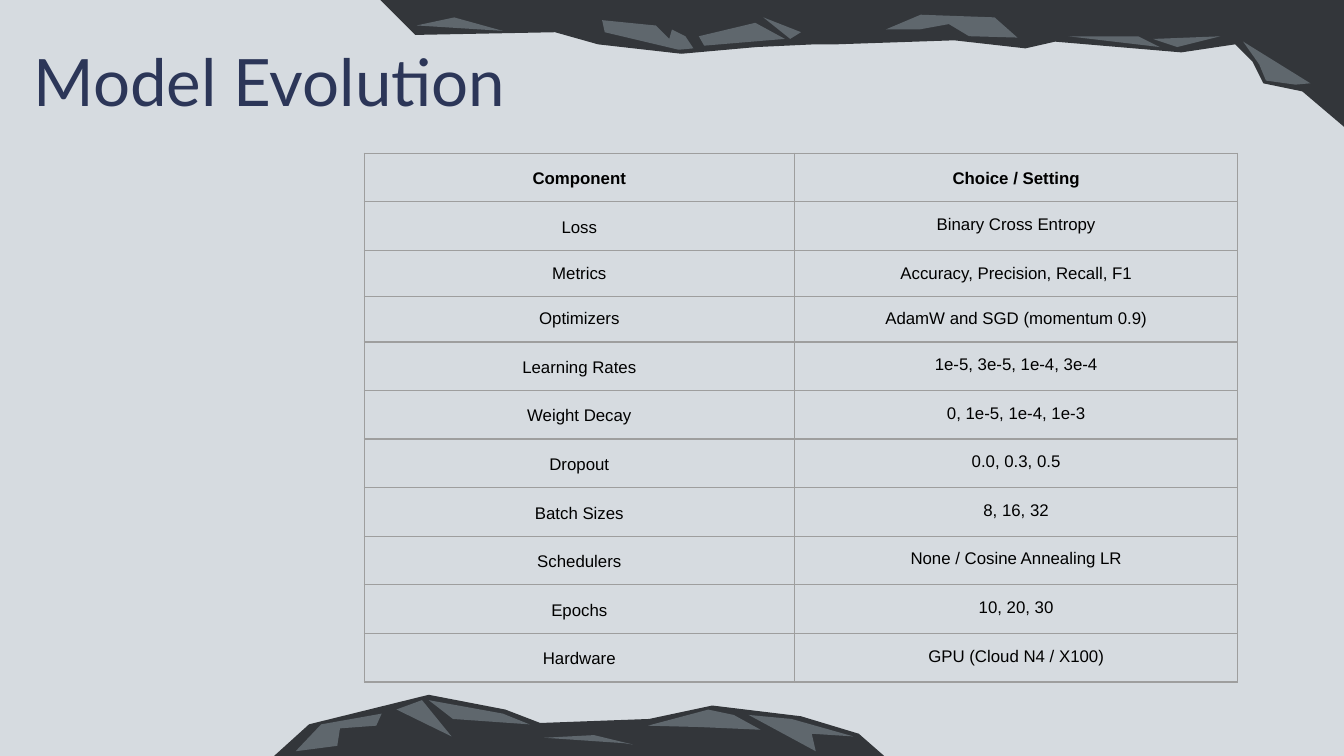
import pptx
import pptx.util
import pptx.dml.color
import pptx.enum.text
import pptx.oxml.ns
from lxml import etree

Inches = pptx.util.Inches
Pt = pptx.util.Pt
RGBColor = pptx.dml.color.RGBColor
qn = pptx.oxml.ns.qn

BACKGROUND = RGBColor(0xD6, 0xDB, 0xE0)
ROCK = RGBColor(0x33, 0x36, 0x3A)
FACET = RGBColor(0x5F, 0x67, 0x6D)
TITLE = RGBColor(0x2C, 0x36, 0x58)
TEXT = RGBColor(0, 0, 0)
BORDER = RGBColor(0x9E, 0x9E, 0x9E)

BOTTOM_ROCK = [(6.63, 5.67), (6.39, 5.46), (5.96, 5.33), (5.3, 5.25), (4.83, 5.35),
               (4.02, 5.38), (3.76, 5.28), (3.19, 5.17), (2.3, 5.39), (1.99, 5.67)]
BOTTOM_FACETS = [
    [(6.35, 5.48), (5.89, 5.35), (5.57, 5.32), (6.07, 5.59), (6.04, 5.46)],
    [(5.46, 5.32), (5.27, 5.28), (4.82, 5.4), (5.21, 5.41), (5.66, 5.43)],
    [(4.71, 5.54), (4.42, 5.47), (4.05, 5.49), (4.64, 5.53)],
    [(3.94, 5.39), (3.74, 5.31), (3.19, 5.21), (3.37, 5.35)],
    [(3.36, 5.48), (3.14, 5.21), (2.95, 5.28)],
    [(2.84, 5.31), (2.39, 5.39), (2.2, 5.59), (2.51, 5.55), (2.53, 5.42), (2.8, 5.4)],
]
TOP_ROCK = [(10.02, 0.96), (9.69, 0.68), (9.4, 0.62), (9.32, 0.46), (9.19, 0.33),
            (8.79, 0.39), (7.85, 0.31), (7.63, 0.36), (7.1, 0.3), (6.22, 0.33),
            (6.06, 0.33), (5.63, 0.35), (5.07, 0.4), (4.45, 0.33), (4.13, 0.24),
            (3.09, 0.26), (2.8, -0.03), (10, -0.03)]
TOP_FACETS = [
    [(9.64, 0.63), (9.42, 0.6), (9.37, 0.48), (9.25, 0.31), (9.75, 0.62)],
    [(9.08, 0.27), (8.58, 0.29), (8.76, 0.35)],
    [(8.63, 0.35), (8.47, 0.27), (7.95, 0.27)],
    [(7.57, 0.28), (7.4, 0.13), (6.85, 0.11), (6.59, 0.22), (6.84, 0.22),
     (7.06, 0.18), (7.21, 0.27)],
    [(5.84, 0.29), (5.62, 0.17), (5.2, 0.27), (5.24, 0.34)],
    [(5.16, 0.36), (5.1, 0.27), (5, 0.22), (4.98, 0.29), (4.88, 0.19), (4.48, 0.15),
     (4.5, 0.24), (5.05, 0.37)],
    [(5.88, 0.29), (5.68, 0.13), (5.96, 0.24)],
    [(3.1, 0.19), (3.38, 0.13), (3.74, 0.23)],
]
SETTINGS = [
    ("Component", "Choice / Setting"),
    ("Loss", "Binary Cross Entropy"),
    ("Metrics", "Accuracy, Precision, Recall, F1"),
    ("Optimizers", "AdamW and SGD (momentum 0.9)"),
    ("Learning Rates", "1e-5, 3e-5, 1e-4, 3e-4"),
    ("Weight Decay", "0, 1e-5, 1e-4, 1e-3"),
    ("Dropout", "0.0, 0.3, 0.5"),
    ("Batch Sizes", "8, 16, 32"),
    ("Schedulers", "None / Cosine Annealing LR"),
    ("Epochs", "10, 20, 30"),
    ("Hardware", "GPU (Cloud N4 / X100)"),
]
SINGLE_SPACED = ("Metrics", "Optimizers")


def set_borders(cell):
    properties = cell._tc.get_or_add_tcPr()
    for position, side in enumerate(("a:lnL", "a:lnR", "a:lnT", "a:lnB")):
        line = etree.Element(qn(side), w=str(Pt(0.75)))
        fill = etree.SubElement(line, qn("a:solidFill"))
        etree.SubElement(fill, qn("a:srgbClr"), val=str(BORDER))
        properties.insert(position, line)


deck = pptx.Presentation()
deck.slide_width = Inches(10)
deck.slide_height = Inches(10) * 9 // 16
page = deck.slides.add_slide(deck.slide_layouts[5])
page.background.fill.solid()
page.background.fill.fore_color.rgb = BACKGROUND

outlines = [(BOTTOM_ROCK, ROCK)] + [(facet, FACET) for facet in BOTTOM_FACETS]
outlines += [(TOP_ROCK, ROCK)] + [(facet, FACET) for facet in TOP_FACETS]
for outline, color in outlines:
    points = [(Inches(x), Inches(y)) for x, y in outline]
    builder = page.shapes.build_freeform(*points[0])
    builder.add_line_segments(points[1:], close=True)
    stone = builder.convert_to_shape()
    stone.shadow.inherit = False
    stone.fill.solid()
    stone.fill.fore_color.rgb = color
    stone.line.fill.background()

title = page.shapes.title
title.left, title.top = Inches(0.15), Inches(0.21)
title.width, title.height = Inches(8.43), Inches(0.63)
frame = title.text_frame
frame.text = "Model Evolution"
frame.word_wrap = True
frame.auto_size = pptx.enum.text.MSO_AUTO_SIZE.NONE
frame.vertical_anchor = pptx.enum.text.MSO_ANCHOR.TOP
frame.margin_left = frame.margin_right = Inches(0.1)
frame.margin_top = frame.margin_bottom = Inches(0.1)
para = frame.paragraphs[0]
para.alignment = pptx.enum.text.PP_ALIGN.LEFT
span = para.runs[0]
span.font.name = "Lato"
span.font.size = Pt(35)
span.font.color.rgb = TITLE

table = page.shapes.add_table(len(SETTINGS), 2, Inches(2.71), Inches(1.14),
                              Inches(6.5), Inches(0.22 * len(SETTINGS))).table
table.first_row = False
table.horz_banding = False
table.columns[0].width = Inches(3.2)
table.columns[1].width = Inches(3.3)
for row, labels in enumerate(SETTINGS):
    for column, label in enumerate(labels):
        cell = table.cell(row, column)
        cell.fill.background()
        set_borders(cell)
        cell.margin_left = cell.margin_right = Inches(0.1)
        cell.margin_top = cell.margin_bottom = Inches(0.1)
        cell.text_frame.text = label
        para = cell.text_frame.paragraphs[0]
        para.alignment = pptx.enum.text.PP_ALIGN.CENTER
        if row == 0 or (column == 0 and label not in SINGLE_SPACED):
            para.line_spacing = 1.15
        span = para.runs[0]
        span.font.name = "Arial"
        span.font.size = Pt(9)
        span.font.bold = row == 0
        span.font.color.rgb = TEXT

deck.save("out.pptx")
